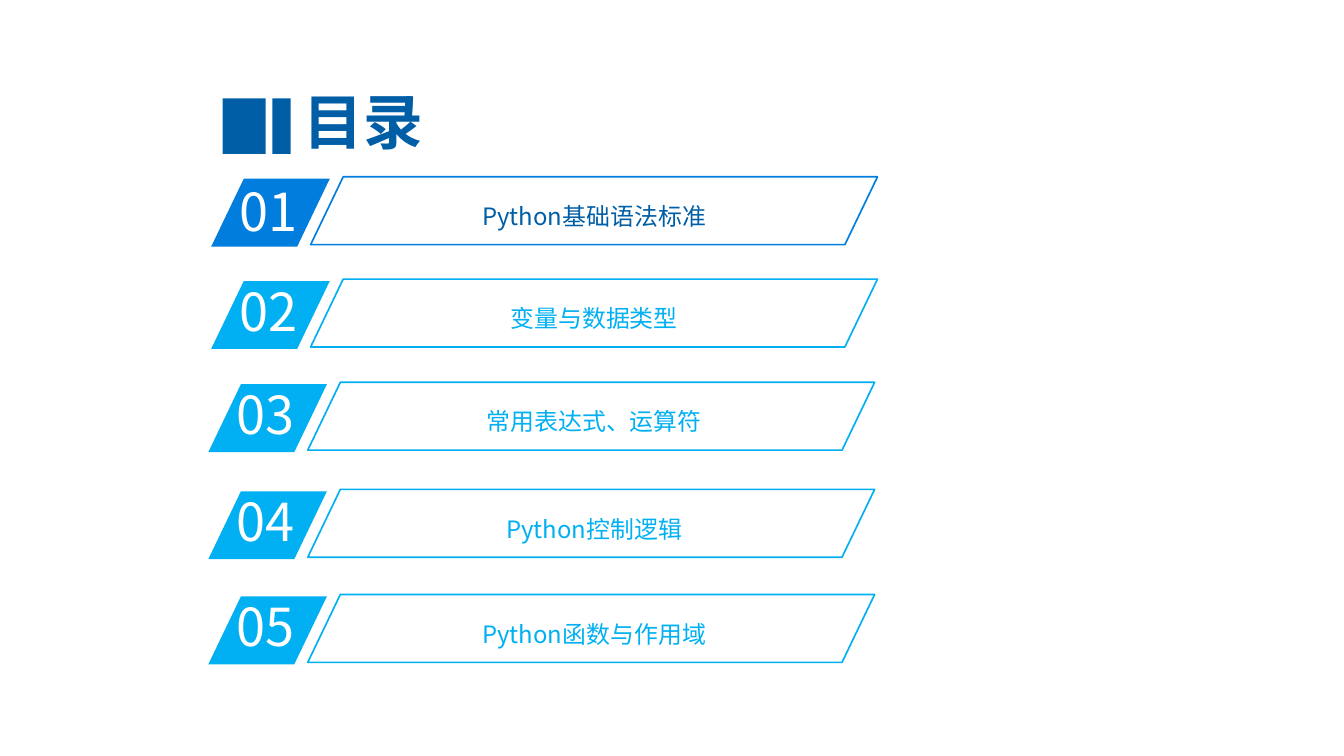
from lxml import etree
from pptx import Presentation
from pptx.dml.color import RGBColor
from pptx.enum.shapes import MSO_SHAPE
from pptx.enum.text import MSO_ANCHOR, MSO_AUTO_SIZE, PP_ALIGN
from pptx.oxml.ns import qn
from pptx.util import Inches, Pt

RECT = MSO_SHAPE.RECTANGLE
SLANT = MSO_SHAPE.PARALLELOGRAM
MIDDLE = MSO_ANCHOR.MIDDLE
TOP = MSO_ANCHOR.TOP
GROW = MSO_AUTO_SIZE.SHAPE_TO_FIT_TEXT
FIXED = MSO_AUTO_SIZE.NONE
LEFT = PP_ALIGN.LEFT
CENTER = PP_ALIGN.CENTER

FONT = "Noto Sans CJK SC"
COLORS = {"navy": "005EA6", "blue": "007DDD", "sky": "00B0F2", "white": "FFFFFF"}
BARS = [(2.33, 0.45), (2.85, 0.19)]
ROWS = [
    (2.21, 1.87, 0.04, "Python基础语法标准"),
    (2.21, 2.94, 0.07, "变量与数据类型"),
    (2.18, 4.02, 0.07, "常用表达式、运算符"),
    (2.18, 5.14, 0.07, "Python控制逻辑"),
    (2.18, 6.24, 0.07, "Python函数与作用域"),
]


def color(name):
    return RGBColor.from_string(COLORS[name])


def put_text(shape, text, size, tint, bold=False, align=LEFT, space=None,
             anchor=TOP, fit=GROW):
    frame = shape.text_frame
    frame.word_wrap = True
    frame.auto_size = fit
    frame.vertical_anchor = anchor
    para = frame.paragraphs[0]
    para.alignment = align
    if space:
        para.line_spacing = space
    run = para.add_run()
    run.text = text
    font = run.font
    font.size = Pt(size)
    font.bold = bold
    font.color.rgb = color(tint)
    font.name = FONT
    etree.SubElement(font._element, qn("a:ea"), typeface=FONT)


def add_box(slide, left, top, width, height):
    return slide.shapes.add_textbox(
        Inches(left), Inches(top), Inches(width), Inches(height))


def add_form(slide, kind, left, top, width, height, fill=None, line=None):
    shape = slide.shapes.add_shape(
        kind, Inches(left), Inches(top), Inches(width), Inches(height))
    shape.shadow.inherit = False
    if kind == SLANT:
        shape.adjustments[0] = 0.48
    if fill:
        shape.fill.solid()
        shape.fill.fore_color.rgb = color(fill)
    else:
        shape.fill.background()
    if line:
        shape.line.color.rgb = color(line)
        shape.line.width = Pt(1.25)
    else:
        shape.line.fill.background()


def add_title(slide, text):
    title = slide.shapes.title
    title.left, title.top = Inches(2.07), Inches(0.88)
    title.width, title.height = Inches(3.47), Inches(0.76)
    put_text(title, text, 45, "navy", bold=True, align=CENTER,
             anchor=MIDDLE, fit=FIXED)
    for left, width in BARS:
        add_form(slide, RECT, left, 1.03, width, 0.58, fill="navy")


def add_row(slide, num, left, top, lift, text):
    tint, ink = ("blue", "navy") if num == 1 else ("sky", "sky")
    add_form(slide, SLANT, left, top, 1.24, 0.71, fill=tint)
    digits = add_box(slide, left + 0.2, top - lift, 1.18, 0.76)
    put_text(digits, f"{num:02d}", 39.4, "white")
    label = add_box(slide, 4.04, top + 0.04, 4.35, 0.49)
    put_text(label, text, 18, ink, align=CENTER, space=1.5)
    add_form(slide, SLANT, left + 1.04, top - 0.02, 5.93, 0.71, line=tint)


def main():
    deck = Presentation()
    deck.slide_width = Inches(14.06)
    deck.slide_height = Inches(7.91)
    slide = deck.slides.add_slide(deck.slide_layouts[5])
    add_title(slide, "目录")
    for num, row in enumerate(ROWS, 1):
        add_row(slide, num, *row)
    deck.save("out.pptx")


if __name__ == "__main__":
    main()
